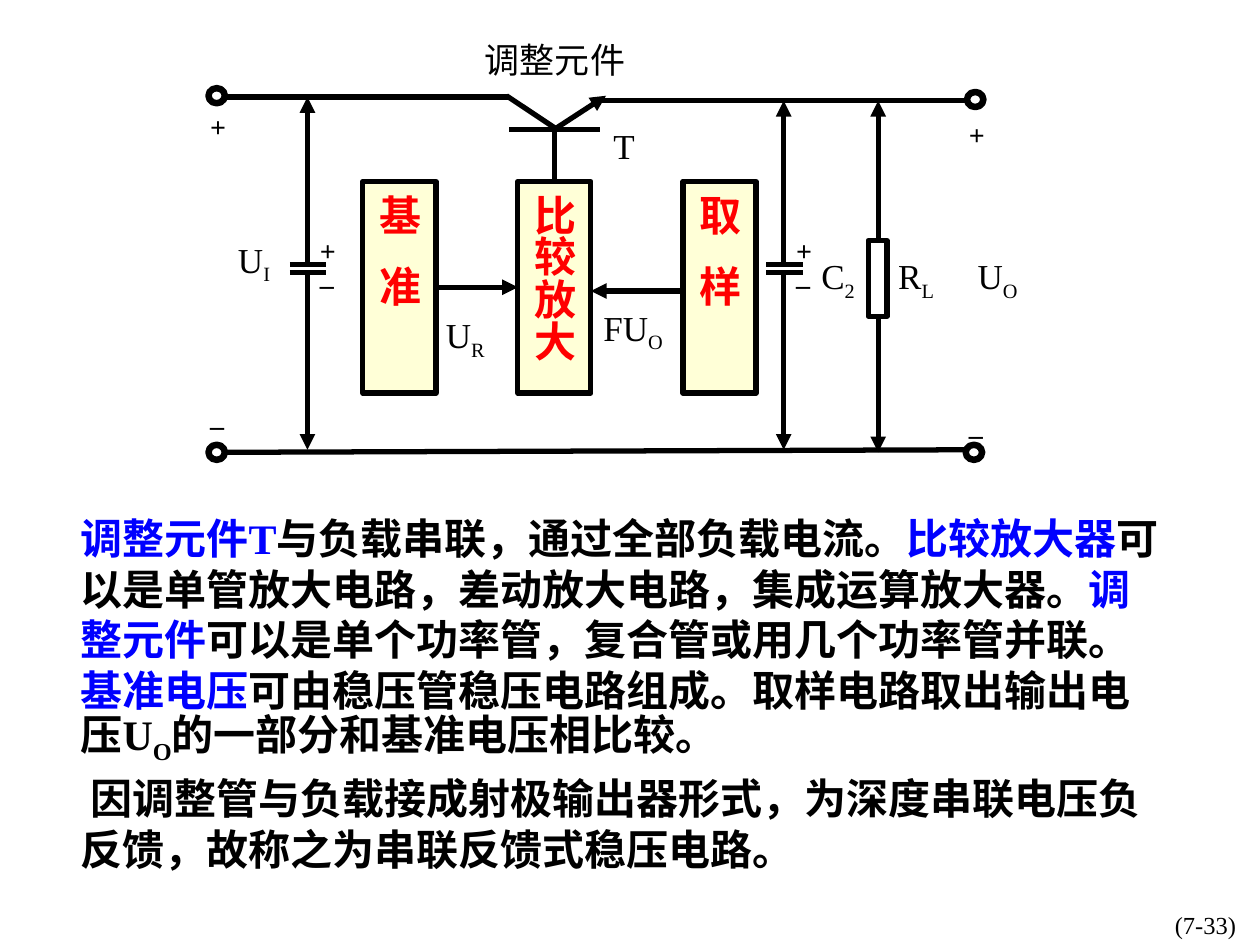
from lxml import etree
from pptx import Presentation
from pptx import util as u
from pptx.dml.color import RGBColor
from pptx.enum import shapes, text
from pptx.oxml import ns

BLACK = RGBColor(0, 0, 0)
RED = RGBColor(255, 0, 0)
BLUE = RGBColor(0, 0, 255)
CREAM = RGBColor(255, 255, 215)
LATIN_FONT = "Times New Roman"
CHINESE_FONT = "Noto Sans CJK SC"


def add_text(paragraph, content, size=20, color=BLACK, bold=False,
             font=LATIN_FONT, subscript=False, tracking=0):
    run = paragraph.add_run()
    run.text = content
    run.font.size = u.Pt(size)
    run.font.bold = bold
    run.font.name = font
    run.font.color.rgb = color
    properties = run.font._element
    east_asian = etree.SubElement(properties, ns.qn("a:ea"))
    east_asian.set("typeface", CHINESE_FONT)
    if subscript:
        properties.set("baseline", "-25000")
    if tracking:
        properties.set("spc", str(tracking * 100))


class CircuitSlide:
    line_width = u.Pt(3)

    def __init__(self, slide):
        self.slide = slide

    def wire(self, x1, y1, x2, y2, arrow=False):
        points = [u.Inches(value) for value in (x1, y1, x2, y2)]
        connector = self.slide.shapes.add_connector(shapes.MSO_CONNECTOR.STRAIGHT, *points)
        connector.line.color.rgb = BLACK
        connector.line.width = self.line_width
        if arrow:
            tail = etree.SubElement(connector.line._get_or_add_ln(), ns.qn("a:tailEnd"))
            tail.set("type", "triangle")
        etree.SubElement(connector._element.spPr, ns.qn("a:effectLst"))

    def outline(self, preset, left, top, width, height, fill=None):
        shape = self.slide.shapes.add_shape(
            preset, u.Inches(left), u.Inches(top), u.Inches(width), u.Inches(height))
        shape.shadow.inherit = False
        shape.line.color.rgb = BLACK
        shape.line.width = self.line_width
        if fill is None:
            shape.fill.background()
        else:
            shape.fill.solid()
            shape.fill.fore_color.rgb = fill
        return shape

    def terminal(self, center_x, center_y):
        width, height = 0.14, 0.13
        ring = self.outline(shapes.MSO_SHAPE.DONUT, center_x - width / 2,
                            center_y - height / 2, width, height)
        ring.adjustments[0] = 0.08

    def block(self, left, *parts):
        shape = self.outline(shapes.MSO_SHAPE.RECTANGLE, left, 1.44, 0.58, 1.68, CREAM)
        frame = shape.text_frame
        frame.word_wrap = False
        frame.vertical_anchor = text.MSO_ANCHOR.MIDDLE
        frame.margin_left = frame.margin_right = u.Inches(0.05)
        frame.margin_top = frame.margin_bottom = u.Inches(0.1)
        frame._txBody.bodyPr.set("vert", "eaVert")
        paragraph = frame.paragraphs[0]
        paragraph.alignment = text.PP_ALIGN.CENTER
        for index, part in enumerate(parts):
            add_text(paragraph, part, size=24, color=RED, bold=True, font=CHINESE_FONT,
                     tracking=17 if index < len(parts) - 1 else 0)

    def label(self, left, top, width, content, subscript="", size=20,
              align=text.PP_ALIGN.LEFT, line_spacing=None):
        box = self.slide.shapes.add_textbox(
            u.Inches(left), u.Inches(top), u.Inches(width), u.Inches(0.46))
        box.text_frame.word_wrap = False
        paragraph = box.text_frame.paragraphs[0]
        paragraph.alignment = align
        paragraph.line_spacing = line_spacing
        add_text(paragraph, content, size=size)
        if subscript:
            add_text(paragraph, subscript, size=size, subscript=True)

    def polarity(self, left, top, height, line_spacing, gap=0):
        box = self.slide.shapes.add_textbox(
            u.Inches(left), u.Inches(top), u.Inches(0.32), u.Inches(height))
        frame = box.text_frame
        frame.word_wrap = True
        plus, minus = frame.paragraphs[0], frame.add_paragraph()
        minus.space_before = u.Pt(gap)
        for paragraph, sign in ((plus, "+"), (minus, "_")):
            paragraph.line_spacing = line_spacing
            add_text(paragraph, sign, size=16, bold=True)

    def capacitor(self, x, rail_y):
        self.wire(x, 2.1, x, rail_y, arrow=True)
        self.wire(x, 2.18, x, 3.57, arrow=True)
        for plate_y in (2.1, 2.16):
            self.wire(x - 0.14, plate_y, x + 0.15, plate_y)
        self.polarity(x, 1.88, 0.48, 0.7)

    def body(self, paragraphs):
        placeholder = self.slide.placeholders[1]
        placeholder.left, placeholder.top = u.Inches(0.54), u.Inches(4.02)
        placeholder.width, placeholder.height = u.Inches(8.82), u.Inches(2.96)
        frame = placeholder.text_frame
        frame.auto_size = text.MSO_AUTO_SIZE.NONE
        frame.word_wrap = True
        frame.vertical_anchor = text.MSO_ANCHOR.MIDDLE
        for index, parts in enumerate(paragraphs):
            paragraph = frame.add_paragraph() if index else frame.paragraphs[0]
            properties = paragraph._p.get_or_add_pPr()
            properties.set("marL", "0")
            properties.set("indent", "0")
            etree.SubElement(properties, ns.qn("a:buNone"))
            paragraph.line_spacing = u.Pt(28.9)
            paragraph.space_before = u.Pt(4 if index else 0)
            for content, style in parts:
                add_text(paragraph, content, size=24, bold=True, **style)


def main():
    presentation = Presentation()
    presentation.slide_width = u.Inches(10)
    presentation.slide_height = u.Inches(7.5)
    slide = presentation.slides.add_slide(presentation.slide_layouts[1])
    title = slide.shapes.title
    title._element.getparent().remove(title._element)
    circuit = CircuitSlide(slide)

    circuit.wire(1.79, 0.77, 4.04, 0.77)
    circuit.wire(4.77, 0.8, 7.66, 0.8)
    circuit.wire(1.79, 3.59, 7.66, 3.57)
    for x, y in ((1.72, 0.76), (1.72, 3.59), (7.74, 0.79), (7.73, 3.59)):
        circuit.terminal(x, y)

    circuit.wire(4.02, 0.76, 4.41, 1.02)
    circuit.wire(4.38, 1.04, 4.81, 0.76, arrow=True)
    circuit.wire(4.04, 1.03, 4.76, 1.03)
    circuit.wire(4.4, 1.03, 4.4, 1.44)

    circuit.capacitor(2.44, 0.77)
    circuit.capacitor(6.22, 0.8)
    circuit.wire(6.97, 1.91, 6.97, 0.8, arrow=True)
    circuit.outline(shapes.MSO_SHAPE.RECTANGLE, 6.89, 1.91, 0.15, 0.6)
    circuit.wire(6.97, 2.51, 6.97, 3.59, arrow=True)

    circuit.block(2.88, "基", "准")
    circuit.block(4.11, "比较放大")
    circuit.block(5.42, "取", "样")
    circuit.wire(3.46, 2.28, 4.11, 2.28, arrow=True)
    circuit.wire(5.42, 2.31, 4.69, 2.31, arrow=True)

    for left, top in ((1.57, 0.63), (7.59, 0.7)):
        circuit.polarity(left, top, 2.82, 1.7, gap=133)
    for left, top, width, symbol, subscript in (
        (4.77, 0.94, 0.37, "T", ""),
        (1.79, 1.84, 0.5, "U", "I"),
        (3.44, 2.44, 0.58, "U", "R"),
        (4.69, 2.38, 0.78, "FU", "O"),
        (6.42, 1.97, 0.52, "C", "2"),
        (7.03, 1.97, 0.54, "R", "L"),
        (7.66, 1.97, 0.59, "U", "O"),
    ):
        circuit.label(left, top, width, symbol, subscript)
    circuit.label(3.75, 0.26, 1.31, "调整元件", line_spacing=u.Pt(24))
    circuit.label(7.83, 7.17, 2.08, "(7-33)", size=14, align=text.PP_ALIGN.RIGHT)

    blue = {"color": BLUE}
    circuit.body([
        [
            ("调整元件T", blue),
            ("与负载串联，通过全部负载电流。", {}),
            ("比较放大器", blue),
            ("可以是单管放大电路，差动放大电路，集成运算放大器。", {}),
            ("调整元件", blue),
            ("可以是单个功率管，复合管或用几个功率管并联。", {}),
            ("基准电压", blue),
            ("可由稳压管稳压电路组成。取样电路取出输出电压U", {}),
            ("O", {"subscript": True}),
            ("的一部分和基准电压相比较。", {}),
        ],
        [(" 因调整管与负载接成射极输出器形式，为深度串联电压负反馈，"
          "故称之为串联反馈式稳压电路。", {})],
    ])
    presentation.save("out.pptx")


if __name__ == "__main__":
    main()
